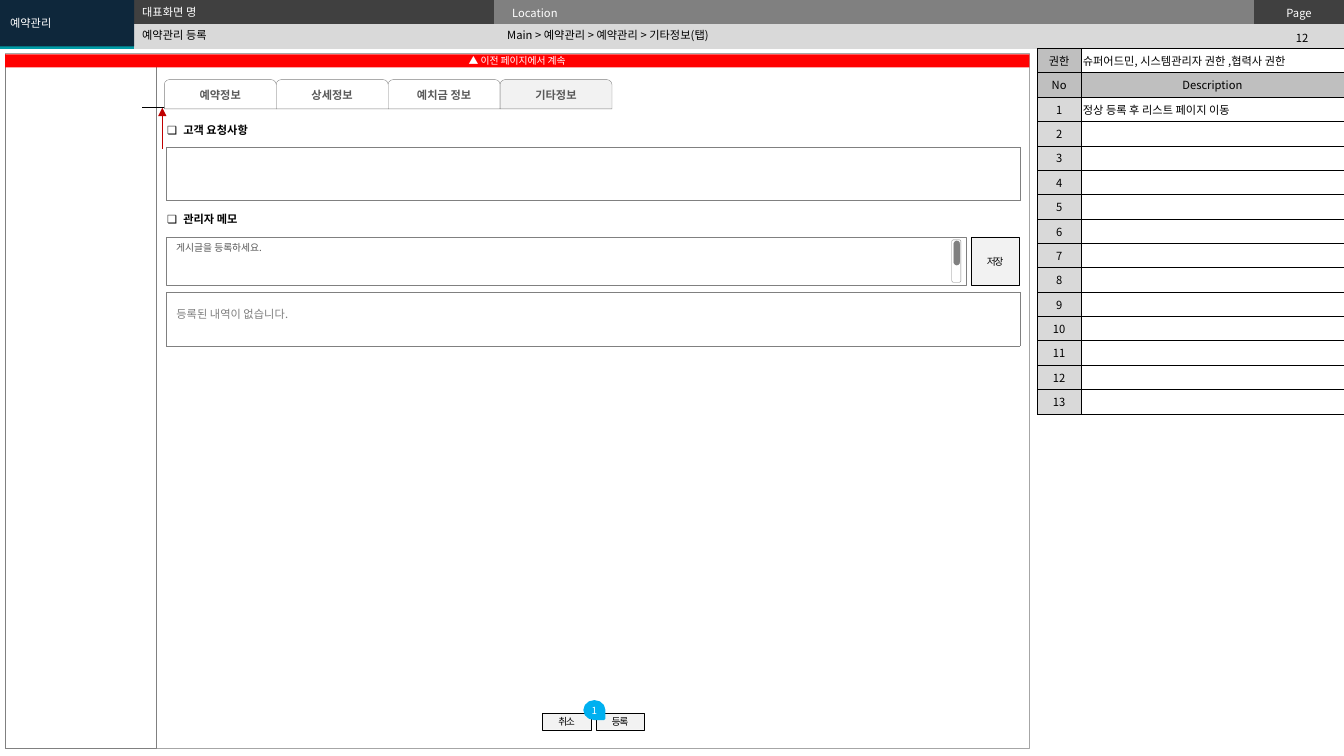
import dataclasses
import typing

import lxml.etree
import pptx
import pptx.dml.color
import pptx.enum.shapes
import pptx.enum.text
import pptx.oxml.ns
import pptx.util

RGB = pptx.dml.color.RGBColor
BLACK = RGB(0x00, 0x00, 0x00)
WHITE = RGB(0xFF, 0xFF, 0xFF)
NAVY = RGB(0x0E, 0x27, 0x3B)
TEAL = RGB(0x00, 0x9C, 0xA6)
RED = RGB(0xFF, 0x00, 0x00)
CRIMSON = RGB(0xC0, 0x00, 0x00)
BLUE = RGB(0x00, 0xB0, 0xF0)
COAL = RGB(0x40, 0x40, 0x40)
SLATE = RGB(0x59, 0x59, 0x59)
GRAY = RGB(0x80, 0x80, 0x80)
FRAME = RGB(0xA6, 0xA6, 0xA6)
SILVER = RGB(0xBF, 0xBF, 0xBF)
PALE = RGB(0xD9, 0xD9, 0xD9)
MIST = RGB(0xF2, 0xF2, 0xF2)

FONT = "Noto Sans CJK KR"
KIND = pptx.enum.shapes.MSO_SHAPE
LEFT = pptx.enum.text.PP_ALIGN.LEFT
CENTER = pptx.enum.text.PP_ALIGN.CENTER
TOP = pptx.enum.text.MSO_ANCHOR.TOP
MIDDLE = pptx.enum.text.MSO_ANCHOR.MIDDLE
SIDE = (0.1, 0.05)
NONE = (0, 0)

Color = typing.Optional[RGB]
Area = tuple[float, float, float, float]


@dataclasses.dataclass
class Box:
    area: Area
    fill: Color = None
    line: Color = None
    kind: KIND = KIND.RECTANGLE
    width: float = 0.25
    text: str = ""
    style: dict = dataclasses.field(default_factory=dict)


def add(parent, tag: str, **attrs: str):
    """Append one drawing element."""
    return lxml.etree.SubElement(parent, pptx.oxml.ns.qn(tag), attrs)


def scale(area: typing.Iterable[float]) -> list:
    return [pptx.util.Inches(v) for v in area]


def put(frame, text: str, *, size: float = 8, color: RGB = BLACK, bold: bool = False,
        align=LEFT, anchor=TOP, pad=SIDE, space: float = 1, track: int = 0,
        hang: float = 0, turn: str = "") -> None:
    """Write one formatted paragraph into a text frame."""
    frame.auto_size = pptx.enum.text.MSO_AUTO_SIZE.NONE
    frame.word_wrap = True
    frame.vertical_anchor = anchor
    frame.margin_left = frame.margin_right = pptx.util.Inches(pad[0])
    frame.margin_top = frame.margin_bottom = pptx.util.Inches(pad[1])
    if turn:
        frame._txBody.bodyPr.set("vert", turn)
    para = frame.paragraphs[0]
    para.alignment = align
    para.line_spacing = space
    para.space_before = pptx.util.Pt(0)
    props = para._p.get_or_add_pPr()
    inset = pptx.util.Inches(hang)
    props.set("marL", str(inset))
    props.set("indent", str(-inset))
    add(props, "a:buNone")
    run = para.add_run()
    run.text = text
    font = run.font
    font.name, font.size, font.bold = FONT, pptx.util.Pt(size), bold
    font.color.rgb = color
    add(font._element, "a:ea", typeface=FONT)
    if track:
        font._element.set("spc", str(track))


def paint(shape, fill: Color, line: Color, width: float) -> None:
    if fill is None:
        shape.fill.background()
    else:
        shape.fill.solid()
        shape.fill.fore_color.rgb = fill
    if line is None:
        shape.line.fill.background()
    else:
        shape.line.color.rgb = line
        shape.line.width = pptx.util.Pt(width)


def draw(slide, box: Box):
    shape = slide.shapes.add_shape(box.kind, *scale(box.area))
    shape.shadow.inherit = False
    paint(shape, box.fill, box.line, box.width)
    if box.text:
        put(shape.text_frame, box.text, **box.style)
    return shape


def label(slide, area: Area, text: str, **style) -> None:
    put(slide.shapes.add_textbox(*scale(area)).text_frame, text, **style)


def hold(shape, area: Area, text: str, fill: Color = None, **style) -> None:
    """Fill a placeholder and bring it to the front."""
    shape.left, shape.top, shape.width, shape.height = scale(area)
    paint(shape, fill, None, 0)
    put(shape.text_frame, text, **style)
    shape.element.getparent().append(shape.element)


def grid(slide, spot: tuple[float, float], cols: list[float], rows: list[float], line: Color, width: float):
    """Add a plain table with one border style."""
    area = (*spot, sum(cols), sum(rows))
    table = slide.shapes.add_table(len(rows), len(cols), *scale(area)).table
    table.first_row = table.horz_banding = False
    for col, wide in zip(table.columns, cols):
        col.width = pptx.util.Inches(wide)
    for row, tall in zip(table.rows, rows):
        row.height = pptx.util.Inches(tall)
    for cell in table.iter_cells():
        props = cell._tc.get_or_add_tcPr()
        for side in ("a:lnL", "a:lnR", "a:lnT", "a:lnB"):
            edge = add(props, side, w=str(pptx.util.Pt(width)))
            if line is None:
                add(edge, "a:noFill")
            else:
                add(add(edge, "a:solidFill"), "a:srgbClr", val=str(line))
    return table


def fill(cell, back: Color, text: str = "", pad=SIDE, anchor=TOP, **style) -> None:
    """Colour a table cell and write its text."""
    if back is None:
        cell.fill.background()
    else:
        cell.fill.solid()
        cell.fill.fore_color.rgb = back
    cell.vertical_anchor = anchor
    cell.margin_left = cell.margin_right = pptx.util.Inches(pad[0])
    cell.margin_top = cell.margin_bottom = pptx.util.Inches(pad[1])
    if text:
        put(cell.text_frame, text, pad=pad, **style)
    else:
        add(cell.text_frame.paragraphs[0]._p, "a:endParaRPr", sz="800")


def link(slide, ends: Area, color: RGB, width: float, arrow: bool = False) -> None:
    line = slide.shapes.add_connector(pptx.enum.shapes.MSO_CONNECTOR.STRAIGHT, *scale(ends))
    line.line.color.rgb = color
    line.line.width = pptx.util.Pt(width)
    if arrow:
        add(line.line._get_or_add_ln(), "a:tailEnd", type="triangle")
    add(line.element.spPr, "a:effectLst")


def main() -> None:
    deck = pptx.Presentation()
    deck.slide_width, deck.slide_height = scale((13.33, 7.5))
    slide = deck.slides.add_slide(deck.slide_layouts[4])
    title, screen, place, menu, spare = slide.placeholders
    spare.element.getparent().remove(spare.element)

    # Header band
    head = grid(slide, (0, 0), [1.33, 3.57, 7.54, 0.89], [0.24, 0.24], None, 0)
    head.cell(0, 0).merge(head.cell(1, 0))
    tops = [(TEAL, ""), (COAL, ""), (GRAY, "Location"), (COAL, "Page")]
    for col, (back, text) in enumerate(tops):
        align = CENTER if text == "Page" else LEFT
        fill(head.cell(0, col), back, text, pad=(0.18, 0.04), color=WHITE, align=align)
        fill(head.cell(1, col), PALE, pad=(0.18, 0.04))
    label(slide, (12.48, 0.26, 0.87, 0.24), "12", align=CENTER)
    hold(title, (1.31, 0.24, 3.63, 0.22), "예약관리 등록", anchor=MIDDLE)
    hold(place, (4.93, 0.23, 7.38, 0.24), "Main > 예약관리 > 예약관리 > 기타정보(탭)", anchor=MIDDLE)
    hold(screen, (1.31, 0, 3.62, 0.22), "대표화면 명", color=WHITE)
    hold(menu, (0, 0, 1.33, 0.46), "예약관리", fill=NAVY, color=WHITE, anchor=MIDDLE)

    # Page frame and side menu
    draw(slide, Box((0.05, 0.53, 10.16, 6.89), line=FRAME))
    draw(slide, Box((0.05, 0.55, 1.5, 6.87), line=GRAY))
    draw(slide, Box((0.05, 0.54, 10.16, 0.13), RED, text="▲ 이전 페이지에서 계속",
                    style=dict(size=7, color=WHITE, align=CENTER, anchor=MIDDLE)))

    # Description table
    notes = [("권한", "슈퍼어드민, 시스템관리자 권한 ,협력사 권한"), ("No", "Description"),
             ("1", "정상 등록 후 리스트 페이지 이동")] + [(str(n), "") for n in range(2, 14)]
    table = grid(slide, (10.29, 0.48), [0.43, 2.61], [0.24] * len(notes), BLACK, 0.5)
    for row, (mark, text) in enumerate(notes):
        named = text == "Description"
        fill(table.cell(row, 0), SILVER if row < 2 else PALE, mark, pad=(0.02, 0.04), align=CENTER, anchor=MIDDLE)
        fill(table.cell(row, 1), SILVER if named else None, text, pad=(0.02, 0.04), align=CENTER if named else LEFT)

    # Request and memo sections
    for top, text in ((1.17, "고객 요청사항"), (2.06, "관리자 메모")):
        label(slide, (1.56, top, 3.37, 0.24), f"❏\t{text}", bold=True, hang=0.16)
    for top, text in ((1.46, ""), (2.9, "등록된 내역이 없습니다.")):
        field = grid(slide, (1.65, top), [8.47], [0.53], GRAY, 0.25)
        fill(field.cell(0, 0), WHITE, text, color=GRAY, space=1.5)
    draw(slide, Box((1.65, 2.35, 7.93, 0.48), line=GRAY, text="게시글을 등록하세요.", style=dict(size=7, color=SLATE)))
    draw(slide, Box((9.44, 2.38, 0.09, 0.42), line=GRAY, kind=KIND.ROUNDED_RECTANGLE))
    thumb = draw(slide, Box((9.46, 2.39, 0.06, 0.24), GRAY, GRAY, KIND.ROUNDED_RECTANGLE))
    thumb.adjustments[0] = 0.5

    # Buttons
    press = dict(size=7, align=CENTER, anchor=MIDDLE, pad=NONE, track=-90)
    for area, text in (((9.63, 2.35, 0.48, 0.48), "저장"), ((5.38, 7.08, 0.48, 0.16), "취소"),
                       ((5.91, 7.08, 0.48, 0.16), "등록")):
        draw(slide, Box(area, MIST, BLACK, text=text, style=press))

    # Scroll marker and tabs
    link(slide, (1.8, 1.07, 1.41, 1.07), BLACK, 0.5)
    link(slide, (1.61, 1.48, 1.61, 1.07), CRIMSON, 1, arrow=True)
    tabs = ["예약정보", "상세정보", "예치금 정보", "기타정보"]
    for step, text in enumerate(tabs):
        draw(slide, Box((1.63 + 1.11 * step, 0.79, 1.11, 0.29), MIST if text == tabs[-1] else WHITE,
                        GRAY, KIND.ROUND_2_SAME_RECTANGLE, text=text,
                        style=dict(color=SLATE, bold=True, align=CENTER, anchor=MIDDLE)))

    # Numbered callout
    drop = draw(slide, Box((5.81, 6.95, 0.17, 0.19), BLUE, BLUE, KIND.TEAR, 2, "1",
                           dict(size=7, color=WHITE, align=CENTER, anchor=MIDDLE, pad=NONE, turn="vert270")))
    drop.rotation = 90
    deck.save("out.pptx")


if __name__ == "__main__":
    main()
